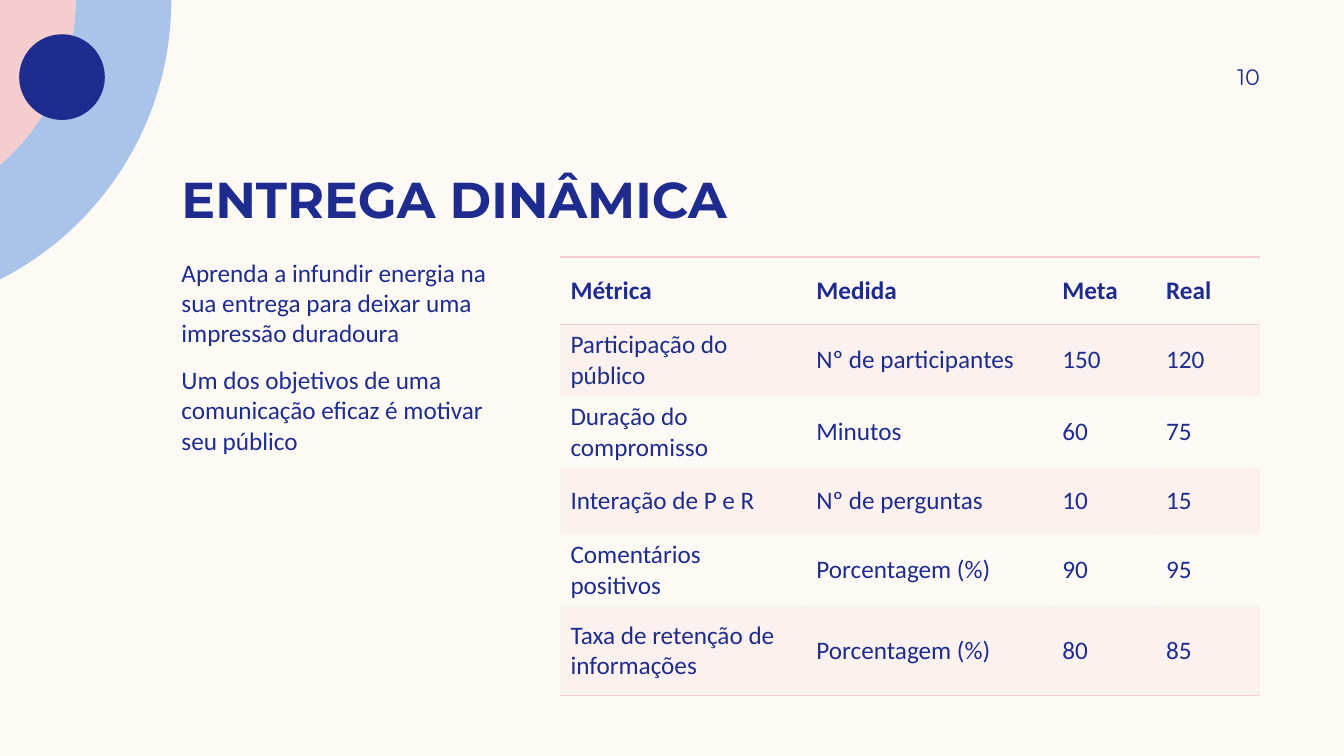
from math import acos, cos, sin, tan

from lxml.etree import SubElement
from pptx import Presentation
from pptx.dml.color import RGBColor
from pptx.enum.shapes import MSO_SHAPE
from pptx.enum.text import MSO_ANCHOR, MSO_AUTO_SIZE, PP_ALIGN
from pptx.oxml import parse_xml
from pptx.oxml.ns import nsdecls, qn
from pptx.util import Inches, Pt

CREAM = RGBColor(0xFD, 0xFA, 0xF6)
LIGHT_BLUE = RGBColor(0xAA, 0xC3, 0xE8)
PINK = RGBColor(0xF5, 0xCD, 0xCE)
NAVY = RGBColor(0x1F, 0x2C, 0x8F)
NO_GRID_STYLE = "{2D5ABB26-0587-4C30-8999-92F81FD0307C}"


def arc_points(radius, center_x=-1.41):
    sweep = acos(-center_x / radius)
    handle = 4 / 3 * tan(sweep / 4)
    end_x, end_y = cos(sweep), sin(sweep)
    units = [(1, 0), (1, handle),
             (end_x + handle * end_y, end_y - handle * end_x), (end_x, end_y)]
    return [(Inches(center_x + radius * x), Inches(radius * y)) for x, y in units]


def format_text(paragraph, size, name="Calibri", bold=False):
    settings = {"size": Pt(size), "name": name, "bold": bold}
    for key, value in settings.items():
        setattr(paragraph.font, key, value)
    paragraph.font.color.rgb = NAVY


presentation = Presentation()
presentation.slide_width = Inches(40 / 3)
presentation.slide_height = Inches(7.5)
slide = presentation.slides.add_slide(presentation.slide_layouts[1])
slide.background.fill.solid()
slide.background.fill.fore_color.rgb = CREAM

outer_arc = arc_points(3.11)
inner_arc = arc_points(2.16)
decorations = []
for outline, curve_starts, color in [
    (outer_arc + inner_arc[::-1], (0, 4), LIGHT_BLUE),
    (inner_arc + [(0, 0)], (0,), PINK),
]:
    builder = slide.shapes.build_freeform(*outline[0], scale=1.0)
    builder.add_line_segments(outline[1:], close=True)
    shape = builder.convert_to_shape()
    segments = shape._element.findall(".//" + qn("a:lnTo"))
    for start in curve_starts:
        first, *others = segments[start:start + 3]
        curve = parse_xml(f'<a:cubicBezTo {nsdecls("a")}/>')
        first.addprevious(curve)
        for segment in (first, *others):
            curve.append(segment[0])
            segment.getparent().remove(segment)
    decorations.append((shape, color))
dot = slide.shapes.add_shape(
    MSO_SHAPE.OVAL, Inches(0.19), Inches(0.34), Inches(0.85), Inches(0.85))
decorations.append((dot, NAVY))
for shape, color in decorations:
    shape.shadow.inherit = False
    shape.fill.solid()
    shape.fill.fore_color.rgb = color
    shape.line.fill.background()

title = slide.shapes.title
body = slide.placeholders[1]
number = slide.shapes.add_textbox(0, 0, 0, 0)
for shape, box, text, anchor, insets in [
    (title, (1.7, 1.2, 10.8, 1.07), "ENTREGA DINÂMICA",
     MSO_ANCHOR.BOTTOM, (0.1, 0, 0.1, 0)),
    (body, (1.7, 2.55, 3.25, 4.05),
     "Aprenda a infundir energia na sua entrega para deixar uma impressão duradoura\n"
     "Um dos objetivos de uma comunicação eficaz é motivar seu público",
     MSO_ANCHOR.TOP, (0.1, 0, 0.1, 0)),
    (number, (11.33, 0.5, 1.17, 0.52), "10",
     MSO_ANCHOR.MIDDLE, (0.1, 0.05, 0, 0.05)),
]:
    for side, length in zip(("left", "top", "width", "height"), box):
        setattr(shape, side, Inches(length))
    frame = shape.text_frame
    frame.text = text
    frame.word_wrap = True
    frame.auto_size = MSO_AUTO_SIZE.NONE
    frame.vertical_anchor = anchor
    for side, length in zip(("left", "top", "right", "bottom"), insets):
        setattr(frame, f"margin_{side}", Inches(length))

title_paragraph = title.text_frame.paragraphs[0]
title_paragraph.alignment = PP_ALIGN.LEFT
format_text(title_paragraph, 36, "Montserrat", True)

for paragraph in body.text_frame.paragraphs:
    paragraph.space_before = Pt(0)
    paragraph.space_after = Pt(12)
    properties = paragraph._p.get_or_add_pPr()
    properties.set("marL", "0")
    properties.set("indent", "0")
    SubElement(properties, qn("a:buNone"))
    format_text(paragraph, 18)

number_paragraph = number.text_frame.paragraphs[0]
number_paragraph.alignment = PP_ALIGN.RIGHT
format_text(number_paragraph, 16, "Montserrat")

metrics = [
    ("Métrica", "Medida", "Meta", "Real"),
    ("Participação do público", "Nº de participantes", "150", "120"),
    ("Duração do compromisso", "Minutos", "60", "75"),
    ("Interação de P e R", "Nº de perguntas", "10", "15"),
    ("Comentários positivos", "Porcentagem (%)", "90", "95"),
    ("Taxa de retenção de informações", "Porcentagem (%)", "80", "85"),
]
last_row = len(metrics) - 1
table = slide.shapes.add_table(
    len(metrics), 4, Inches(5.56), Inches(2.55), Inches(6.94), Inches(4.32)).table
table._tbl.tblPr.find(qn("a:tableStyleId")).text = NO_GRID_STYLE
table.horz_banding = False
for column, width in zip(table.columns, (2.44, 2.44, 1.03, 1.03)):
    column.width = Inches(width)
for row, height in zip(table.rows, (0.67, 0.66, 0.7, 0.66, 0.66, 0.89)):
    row.height = Inches(height)

for row_index, values in enumerate(metrics):
    borders = {0: ("lnB", "lnT"), last_row: ("lnB",)}.get(row_index, ())
    for column_index, value in enumerate(values):
        cell = table.cell(row_index, column_index)
        cell.text = value
        cell.vertical_anchor = MSO_ANCHOR.MIDDLE
        format_text(cell.text_frame.paragraphs[0], 18, bold=row_index == 0)
        cell_properties = cell._tc.get_or_add_tcPr()
        if row_index % 2:
            cell.fill.solid()
            cell.fill.fore_color.rgb = PINK
            tint = cell_properties.find(".//" + qn("a:srgbClr"))
            SubElement(tint, qn("a:alpha"), val="20000")
        else:
            cell.fill.background()
        for border in borders:
            cell_properties.insert(0, parse_xml(
                f'<a:{border} {nsdecls("a")} w="{Pt(1)}"><a:solidFill>'
                f'<a:srgbClr val="{PINK}"/></a:solidFill></a:{border}>'))

presentation.save("out.pptx")
